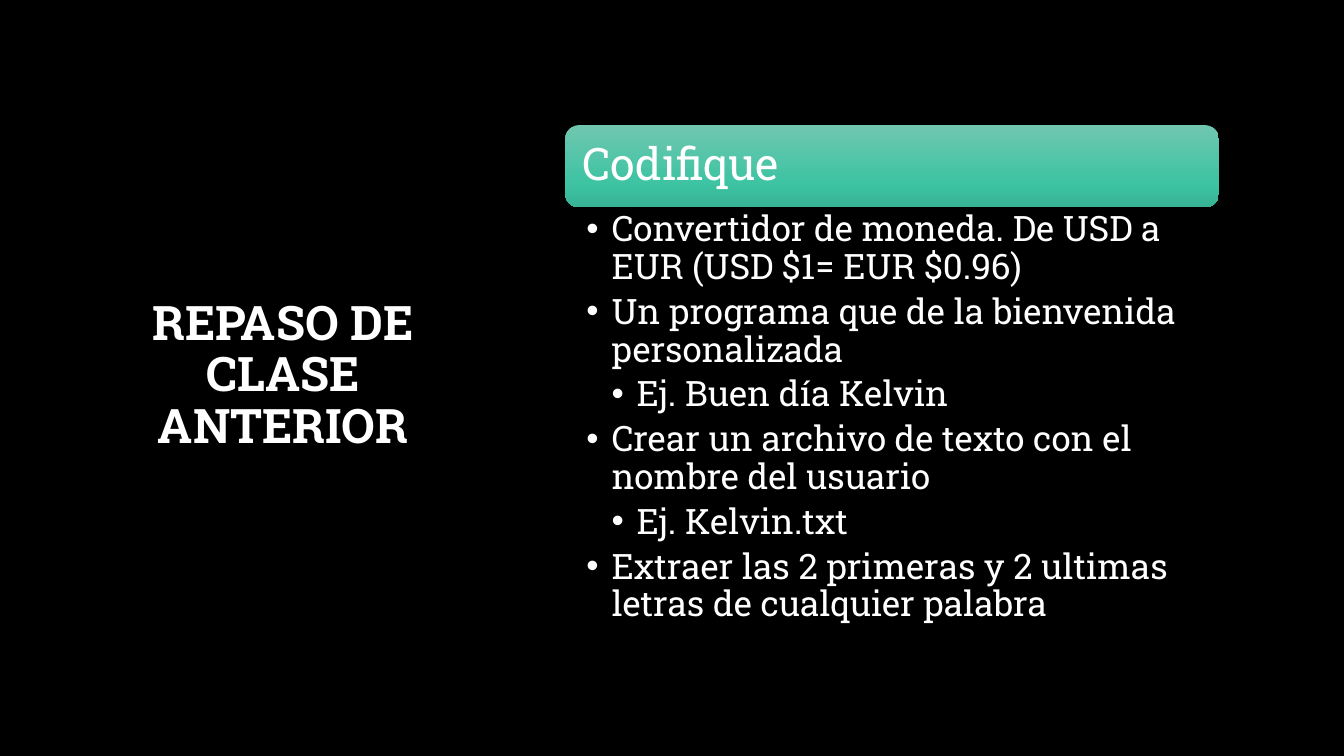
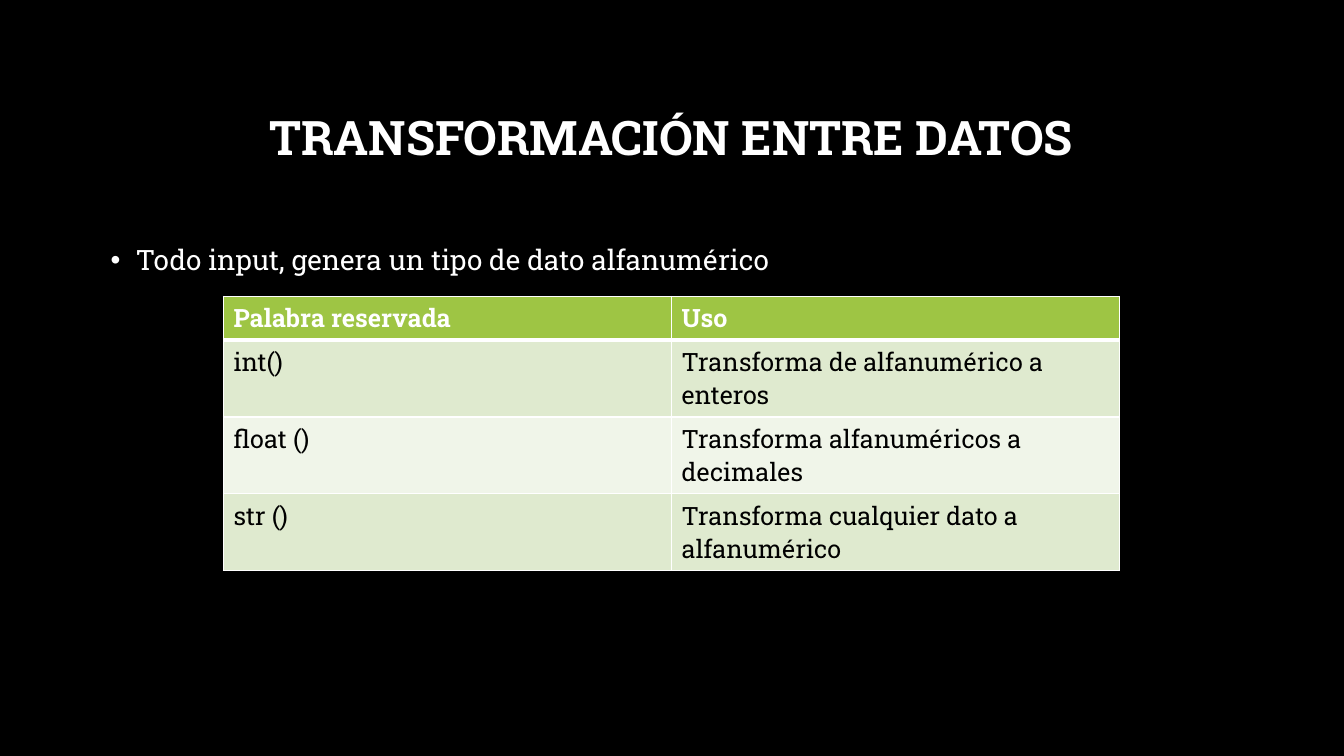
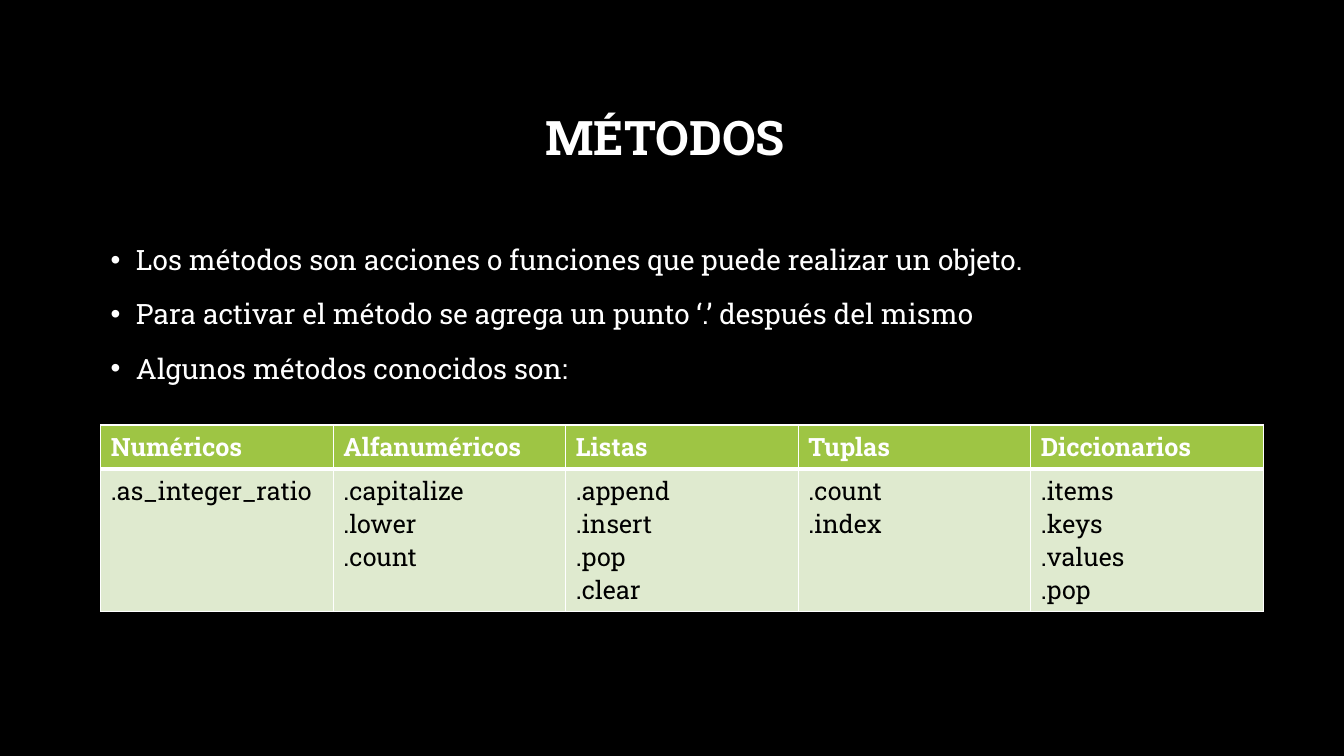
import pptx
import pptx.util
import pptx.dml.color
import pptx.enum.text
import pptx.enum.shapes
import pptx.oxml
import pptx.oxml.ns
import copy

Pt = pptx.util.Pt
RGB = pptx.dml.color.RGBColor.from_string
ALIGN = pptx.enum.text.PP_ALIGN
MID = pptx.enum.text.MSO_ANCHOR.MIDDLE
BOX = pptx.enum.shapes.MSO_SHAPE.ROUNDED_RECTANGLE
HUE = {"back": "000000", "text": "FFFFFF", "ink": "000000", "head": "9EC544",
       "odd": "DFEACF", "even": "F0F5E9", "top": "70C6AF", "mid": "3EC4A3", "low": "37B395"}
FACE = "Roboto Slab"
HEAD = {"font": {"size": Pt(34), "bold": True}, "para": {"alignment": ALIGN.CENTER, "line_spacing": 0.9}}
BODY = {"font": {"size": Pt(20)}, "para": {"line_spacing": 1.2, "space_before": Pt(10)}}
BAND = {"font": {"size": Pt(32)}, "para": {"alignment": ALIGN.LEFT, "line_spacing": 0.9}}
LIST = {"font": {"size": Pt(25)}, "para": {"line_spacing": 0.9, "space_after": Pt(5)}}
CELL = {"font": {"size": Pt(18), "bold": False}, "para": {}}
TOP = {"font": {"size": Pt(18), "bold": True}, "para": {}}

deck = pptx.Presentation()
deck.slide_width, deck.slide_height = pptx.util.Inches(13.33), pptx.util.Inches(7.5)
COL, ROW = deck.slide_width / 160, deck.slide_height / 90
LINE, PAD = 3.95 * ROW, 1.25 * ROW
ground = deck.slide_master.background.fill
ground.solid()
ground.fore_color.rgb = RGB(HUE["back"])


def write(frame, lines, form, hue="text", dots=None):
    frame.word_wrap = True
    for at, line in enumerate(lines):
        para = frame.paragraphs[0] if at == 0 else frame.add_paragraph()
        for key, val in form["para"].items():
            setattr(para, key, val)
        run = para.add_run()
        run.text = line
        for key, val in {"name": FACE, **form["font"]}.items():
            setattr(run.font, key, val)
        run.font.color.rgb = RGB(HUE[hue])
        if dots:
            props = para._p.get_or_add_pPr()
            props.set("marL", str(Pt(18 * dots[at])))
            props.set("indent", str(-Pt(18)))
            for tag, name, val in (("a:buFont", "typeface", "Arial"), ("a:buChar", "char", "•")):
                mark = pptx.oxml.parse_xml(f'<{tag} {pptx.oxml.ns.nsdecls("a")} {name}="{val}"/>')
                props.append(mark)


def table(slide, left, top, wide, deep, rows):
    tall = [int(PAD + LINE * count) for count in (1, *[deep] * (len(rows) - 1))]
    place = [int(v) for v in (left * COL, top * ROW, wide * COL, sum(tall))]
    grid = slide.shapes.add_table(len(rows), len(rows[0]), *place).table
    for r, row in enumerate(rows):
        grid.rows[r].height = tall[r]
        for c, text in enumerate(row):
            cell = grid.cell(r, c)
            write(cell.text_frame, text.split("\n"), CELL if r else TOP, "ink" if r else "text")
            cell.fill.solid()
            cell.fill.fore_color.rgb = RGB(HUE["head" if r == 0 else "odd" if r % 2 else "even"])
            props = cell._tc.get_or_add_tcPr()
            for at, side in enumerate("LRTB"):
                thick = 3 if (r, side) in ((0, "B"), (1, "T")) else 1
                props.insert(at, pptx.oxml.parse_xml(
                    f'<a:ln{side} {pptx.oxml.ns.nsdecls("a")} w="{Pt(thick)}"><a:solidFill>'
                    f'<a:srgbClr val="{HUE["text"]}"/></a:solidFill></a:ln{side}>'))


PAGES = [
    {"title": "REPASO DE CLASE ANTERIOR", "spot": (9.8, 8, 47.8, 73.6),
     "area": (67.3, 24.7, 77.8, 50.4), "form": LIST, "pad": (15, 3, 18, 3),
     "list": [(1, "Convertidor de moneda. De USD a EUR (USD $1= EUR $0.96)"),
              (1, "Un programa que de la bienvenida personalizada"),
              (2, "Ej. Buen día Kelvin"),
              (1, "Crear un archivo de texto con el nombre del usuario"),
              (2, "Ej. Kelvin.txt"),
              (1, "Extraer las 2 primeras y 2 ultimas letras de cualquier palabra")],
     "band": "Codifique"},
    {"title": "TRANSFORMACIÓN ENTRE DATOS",
     "list": [(1, "Todo input, genera un tipo de dato alfanumérico")],
     "table": (26.6, 35.3, 106.7, 2, [
         ("Palabra reservada", "Uso"),
         ("int()", "Transforma de alfanumérico a enteros"),
         ("float ()", "Transforma alfanuméricos a decimales"),
         ("str ()", "Transforma cualquier dato a alfanumérico")])},
    {"title": "MÉTODOS ",
     "list": [(1, "Los métodos son acciones o funciones que puede realizar un objeto."),
              (1, "Para activar el método se agrega un punto ‘.’ después del mismo"),
              (1, "Algunos métodos conocidos son:")],
     "table": (12, 50.6, 138.4, 4, [
         ("Numéricos", "Alfanuméricos", "Listas", "Tuplas", "Diccionarios"),
         (".as_integer_ratio", ".capitalize\n.lower\n.count", ".append\n.insert\n.pop\n.clear",
          ".count\n.index", ".items\n.keys\n.values\n.pop")])},
]
BASE = {"spot": (12, 8, 135.8, 17.4), "area": (12, 27.5, 135.8, 48.5), "form": BODY, "pad": (7.2, 3.6, 7.2, 3.6)}
SIDES = "margin_left", "margin_top", "margin_right", "margin_bottom"

for page in PAGES:
    page = {**BASE, **page}
    slide = deck.slides.add_slide(deck.slide_layouts[6])
    frames = []
    for spot in (page["spot"], page["area"]):
        place = [int(v * u) for v, u in zip(spot, (COL, ROW, COL, ROW))]
        frames.append(slide.shapes.add_textbox(*place).text_frame)
    title, body = frames
    title.vertical_anchor = MID
    write(title, [page["title"]], HEAD)
    for side, gap in zip(SIDES, page["pad"]):
        setattr(body, side, Pt(gap))
    steps, texts = zip(*page["list"])
    write(body, texts, page["form"], dots=steps)
    if "table" in page:
        table(slide, *page["table"])
    if "band" in page:
        band = slide.shapes.add_shape(BOX, int(67.3 * COL), int(14.9 * ROW), int(77.8 * COL), int(9.8 * ROW))
        band.shadow.inherit = False
        band.line.fill.background()
        band.fill.gradient()
        band.fill.gradient_angle = 270
        stops = band._element.spPr.find(".//" + pptx.oxml.ns.qn("a:gsLst"))
        stops.append(copy.deepcopy(stops[-1]))
        for stop, spot, hue in zip(band.fill.gradient_stops, (0, 0.69, 1), ("top", "mid", "low")):
            stop.position = spot
            stop.color.rgb = RGB(HUE[hue])
        band.text_frame.vertical_anchor = MID
        band.text_frame.margin_left = Pt(9.4)
        write(band.text_frame, [page["band"]], BAND)

deck.save("out.pptx")
